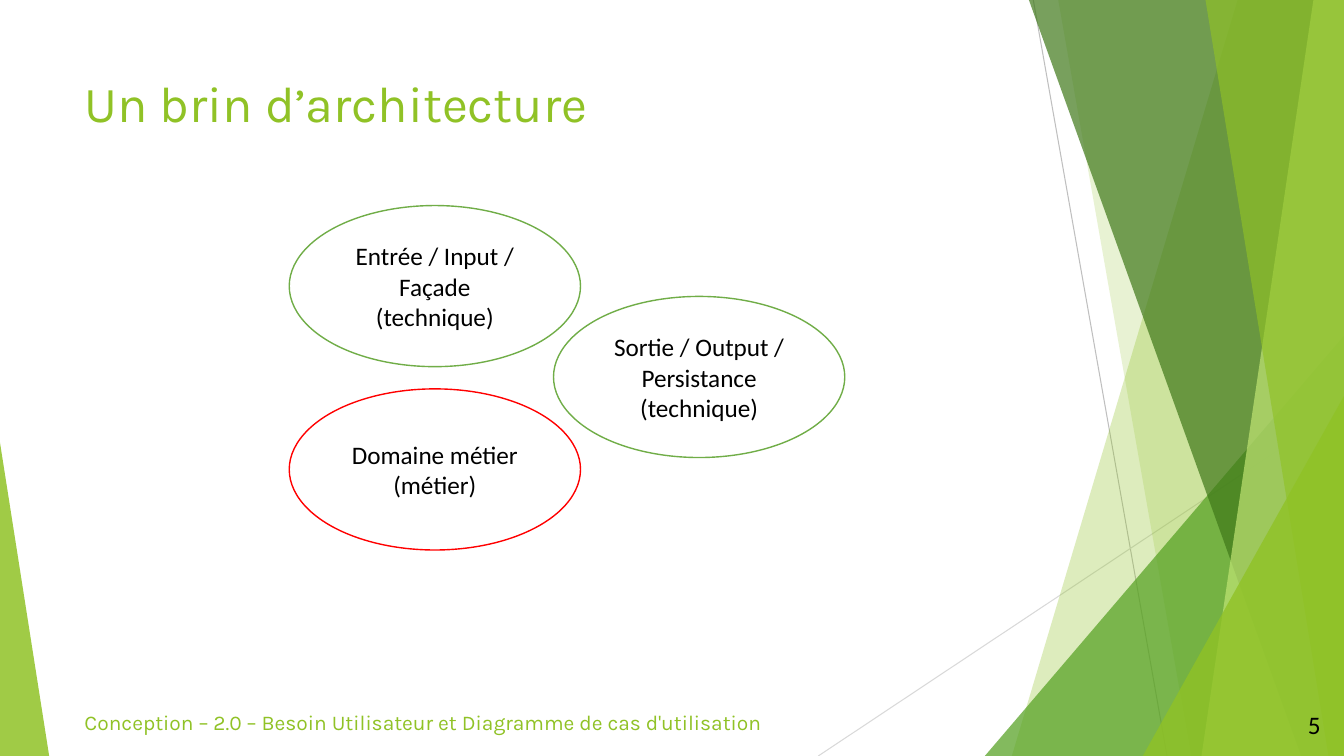
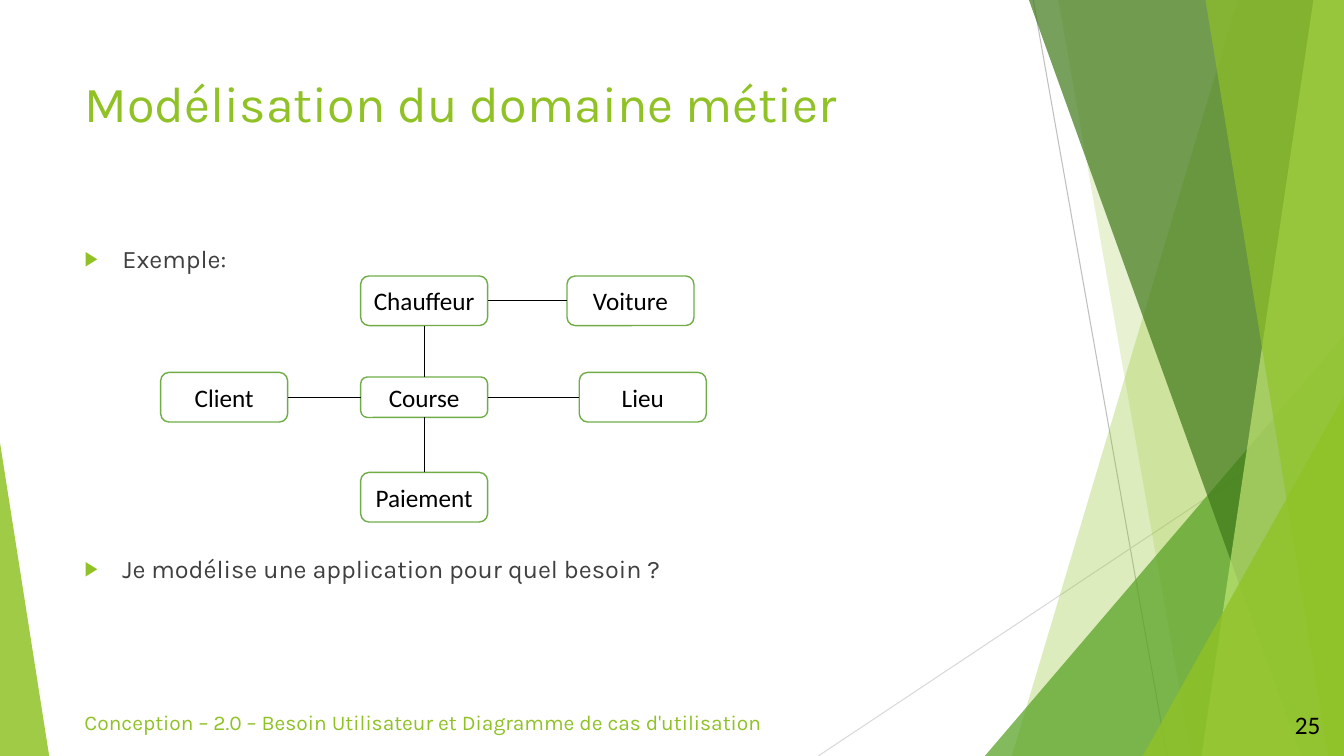
from dataclasses import dataclass

from lxml import etree
from pptx import Presentation
from pptx import util as u
from pptx.dml.color import RGBColor
from pptx.enum import shapes, text
from pptx.oxml.ns import qn

Cm = u.Cm
WIDTH, HEIGHT = 33.87, 19.05
LEFT, CONTENT_WIDTH = 1.88, 23.88
FOOTER_TOP, FOOTER_HEIGHT = 17.75, 1.02
TOP_SITE, LEFT_SITE, BOTTOM_SITE, RIGHT_SITE = range(4)


@dataclass(frozen=True)
class Theme:
    # Colours
    accent: str = "90C226"
    leaf: str = "54A021"
    forest: str = "3F7819"
    lime: str = "C0E474"
    outline: str = "70AD47"
    alert: str = "FF0000"
    body: str = "404040"
    black: str = "000000"
    white: str = "FFFFFF"
    steep_line: str = "BFBFBF"
    flat_line: str = "D9D9D9"
    # Fonts and sizes
    heading_font: str = "Karla"
    node_font: str = "Calibri"
    title_size: int = 36
    text_size: int = 18
    footer_size: int = 15


class Deck:
    """Holds the style and the current slide."""

    def __init__(self, theme):
        self.theme = theme
        self.prs = Presentation()
        self.prs.slide_width, self.prs.slide_height = Cm(WIDTH), Cm(HEIGHT)
        self.s = None

    def new_slide(self, title, number, layout):
        t = self.theme
        first = self.s is None
        self.s = self.prs.slides.add_slide(self.prs.slide_layouts.get_by_name(layout))
        if first:
            self.decorate_master()
        sp = self.s.shapes.title
        self.place(sp, LEFT, 1.7, CONTENT_WIDTH, 3.66)
        self.set_text(sp.text_frame, title, t.title_size, t.accent, t.heading_font)
        self.label(number, 31.62, 1.91, t.text_size, t.black, t.node_font,
                   text.PP_ALIGN.RIGHT, text.MSO_ANCHOR.MIDDLE)

    # Shared background and footer, kept on the slide master
    def decorate_master(self):
        t = self.theme
        parts = [
            self.line(t.steep_line, 0.75, (26.04, 0), (29.41, HEIGHT)),
            self.line(t.flat_line, 0.75, (WIDTH, 10.24), (20.62, HEIGHT)),
            self.band(31.19, 25.5, t.accent, 30),
            self.band(26.67, 30.02, t.accent, 20),
            self.corner(24.82, 8.46, t.leaf, 72),
            self.band(25.93, 32.79, t.forest, 70),
            self.band(33.1, 30.28, t.lime, 70),
            self.band(30.38, 33.48, t.accent, 65),
            self.corner(28.8, 9.98, t.accent, 80),
            self.facet([(0, HEIGHT), (0, 11.15), (1.24, HEIGHT)], t.accent, 85),
            self.label("Conception – 2.0 – Besoin Utilisateur et Diagramme de cas d'utilisation",
                       LEFT, 18.59, t.footer_size, t.accent, t.heading_font),
        ]
        tree = self.prs.slide_master.element.cSld.spTree
        for shape_id, part in enumerate(parts, start=100):
            part.element.find(".//" + qn("p:cNvPr")).set("id", str(shape_id))
            tree.append(part.element)

    def band(self, top_x, bottom_x, color, opacity):
        points = [(top_x, 0), (WIDTH, 0), (WIDTH, HEIGHT), (bottom_x, HEIGHT)]
        return self.facet(points, color, opacity)

    def corner(self, bottom_x, side_y, color, opacity):
        points = [(bottom_x, HEIGHT), (WIDTH, side_y), (WIDTH, HEIGHT)]
        return self.facet(points, color, opacity)

    def facet(self, points, color, opacity):
        start, *rest = [(Cm(x), Cm(y)) for x, y in points]
        builder = self.s.shapes.build_freeform(*start)
        builder.add_line_segments(rest, close=True)
        sp = builder.convert_to_shape()
        self.paint(sp, color)
        fill_color = sp.element.spPr.find(".//" + qn("a:srgbClr"))
        etree.SubElement(fill_color, qn("a:alpha"), val=str(opacity * 1000))
        return sp

    # Style helpers
    @staticmethod
    def place(sp, left, top, width, height):
        sp.left, sp.top, sp.width, sp.height = map(Cm, (left, top, width, height))

    @staticmethod
    def paint(sp, fill, line=None):
        sp.shadow.inherit = False
        sp.fill.solid()
        sp.fill.fore_color.rgb = RGBColor.from_string(fill)
        if line:
            sp.line.color.rgb = RGBColor.from_string(line)
            sp.line.width = u.Pt(1)
        else:
            sp.line.fill.background()

    @staticmethod
    def set_text(tf, content, size, color, font,
                 align=text.PP_ALIGN.LEFT, anchor=text.MSO_ANCHOR.TOP):
        tf.text = content
        tf.word_wrap = True
        tf.auto_size = text.MSO_AUTO_SIZE.NONE
        tf.vertical_anchor = anchor
        for p in tf.paragraphs:
            p.alignment = align
            for r in p.runs:
                r.font.size, r.font.name = u.Pt(size), font
                r.font.color.rgb = RGBColor.from_string(color)

    # Elements
    def label(self, content, left, width, *style):
        sp = self.s.shapes.add_textbox(Cm(left), Cm(FOOTER_TOP), Cm(width), Cm(FOOTER_HEIGHT))
        self.set_text(sp.text_frame, content, *style)
        return sp

    def bullets(self, items, gap):
        t = self.theme
        sp = self.s.placeholders[1]
        self.place(sp, LEFT, 6, CONTENT_WIDTH, 10.87)
        self.set_text(sp.text_frame, "\n".join(items), t.text_size, t.body, t.heading_font)
        for i, p in enumerate(sp.text_frame.paragraphs):
            pPr = p._p.get_or_add_pPr()
            pPr.set("marL", str(Cm(0.95)))
            pPr.set("indent", str(-Cm(0.95)))
            color = etree.SubElement(pPr, qn("a:buClr"))
            etree.SubElement(color, qn("a:srgbClr"), val=t.accent)
            etree.SubElement(pPr, qn("a:buSzPct"), val="80000")
            etree.SubElement(pPr, qn("a:buChar"), char="▶")
            p.space_before = u.Pt(gap if i else 10)

    def node(self, kind, content, center, size, outline, margin):
        t = self.theme
        (x, y), (w, h) = center, size
        sp = self.s.shapes.add_shape(kind, Cm(x - w / 2), Cm(y - h / 2), Cm(w), Cm(h))
        self.paint(sp, t.white, outline)
        tf = sp.text_frame
        self.set_text(tf, content, t.text_size, t.black, t.node_font,
                      text.PP_ALIGN.CENTER, text.MSO_ANCHOR.MIDDLE)
        tf.margin_left = tf.margin_right = Cm(margin)
        return sp

    def ellipse(self, content, center, outline):
        return self.node(shapes.MSO_SHAPE.OVAL, content, center, (7.34, 4.06), outline, 0.25)

    def box(self, content, center, height=1.25):
        return self.node(shapes.MSO_SHAPE.ROUNDED_RECTANGLE, content, center,
                         (3.2, height), self.theme.outline, 0)

    def line(self, color, width, start=(0, 0), end=(0, 0)):
        c = self.s.shapes.add_connector(shapes.MSO_CONNECTOR.STRAIGHT, *map(Cm, start + end))
        c.line.color.rgb = RGBColor.from_string(color)
        c.line.width = u.Pt(width)
        etree.SubElement(c.element.spPr, qn("a:effectLst"))
        return c

    def link(self, source, source_site, target, target_site):
        c = self.line(self.theme.black, 0.5)
        c.begin_connect(source, source_site)
        c.end_connect(target, target_site)


def main():
    theme = Theme()
    deck = Deck(theme)

    # Architecture
    deck.new_slide("Un brin d’architecture", "5", "Title Only")
    for content, center, outline in [
        ("Entrée / Input / Façade (technique)", (10.96, 7.21), theme.outline),
        ("Sortie / Output / Persistance (technique)", (17.62, 9.5), theme.outline),
        ("Domaine métier (métier)", (10.96, 11.83), theme.alert),
    ]:
        deck.ellipse(content, center, outline)

    # Domain model
    deck.new_slide("Modélisation du domaine métier", "25", "Title and Content")
    deck.bullets(["Exemple:", "Je modélise une application pour quel besoin ?"], gap=200)
    middle, top, center, bottom = 10.69, 7.58, 10.01, 12.53
    ride = deck.box("Course", (middle, center), height=1.02)
    driver = deck.box("Chauffeur", (middle, top))
    car = deck.box("Voiture", (15.89, top))
    client = deck.box("Client", (5.65, center))
    place = deck.box("Lieu", (16.2, center))
    payment = deck.box("Paiement", (middle, bottom))
    for ends in [
        (client, RIGHT_SITE, ride, LEFT_SITE),
        (driver, BOTTOM_SITE, ride, TOP_SITE),
        (payment, TOP_SITE, ride, BOTTOM_SITE),
        (ride, RIGHT_SITE, place, LEFT_SITE),
        (car, LEFT_SITE, driver, RIGHT_SITE),
    ]:
        deck.link(*ends)

    deck.prs.save("out.pptx")


if __name__ == "__main__":
    main()
